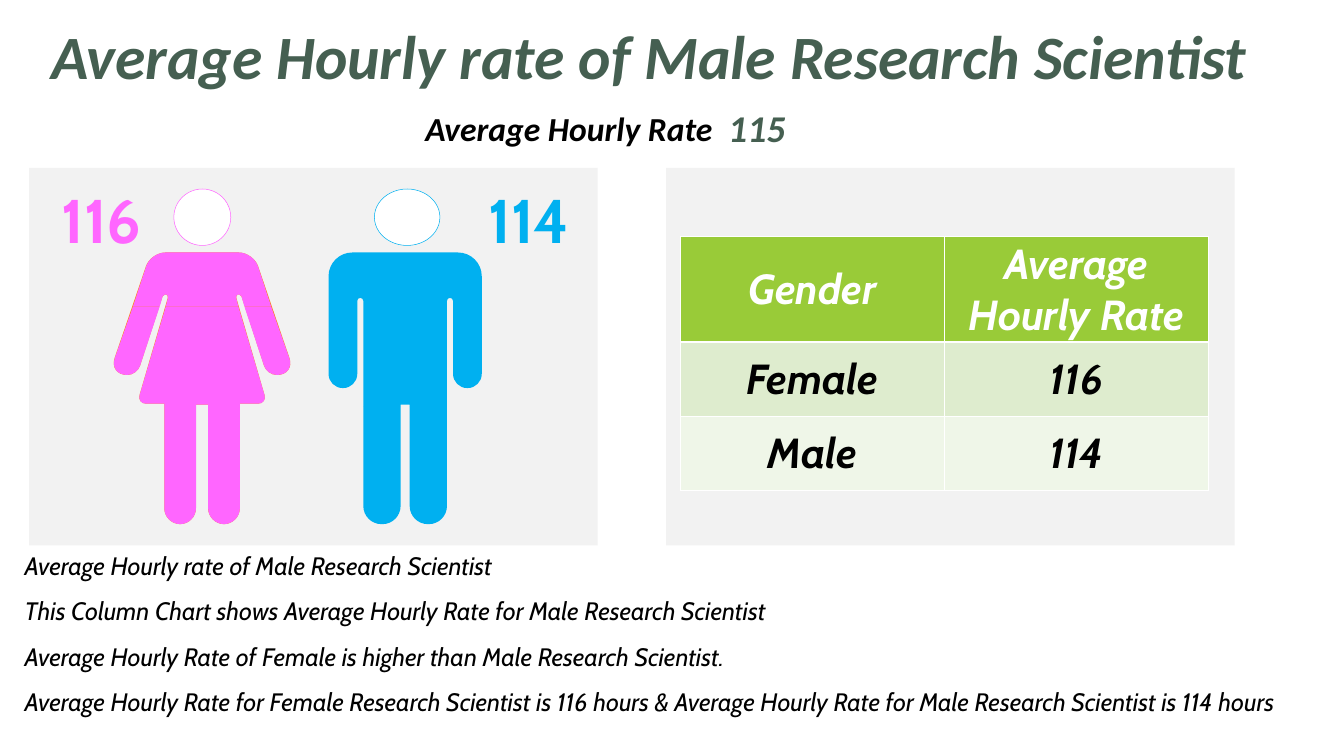
from dataclasses import dataclass

from lxml.etree import SubElement
from pptx import Presentation
from pptx.dml.color import RGBColor
from pptx.enum.shapes import MSO_SHAPE
from pptx.enum.text import MSO_ANCHOR, MSO_AUTO_SIZE, PP_ALIGN
from pptx.oxml.ns import qn
from pptx.util import Inches, Pt

# The grid has one column and one row to the inch.
COLUMNS, ROWS = 26.67, 15

WHITE = RGBColor(0xFF, 0xFF, 0xFF)
BLACK = RGBColor(0x00, 0x00, 0x00)
GREY = RGBColor(0x80, 0x80, 0x80)
DARK_GREEN = RGBColor(0x45, 0x5F, 0x51)
PINK = RGBColor(0xFF, 0x66, 0xFF)
BLUE = RGBColor(0x00, 0xB0, 0xF0)
ORANGE = RGBColor(0xFB, 0x83, 0x21)
ROW_FILLS = (RGBColor(0x99, 0xCB, 0x38), RGBColor(0xDE, 0xEC, 0xCE), RGBColor(0xEF, 0xF6, 0xE8))


@dataclass
class Box:
    column: float
    row: float
    width: float
    height: float

    def lengths(self) -> list:
        return [Inches(v) for v in (self.column, self.row, self.width, self.height)]


@dataclass
class Corner:
    """A vertex, x from the figure's axis; reach is where its rounding starts."""
    x: float
    y: float
    reach: float = 0


@dataclass
class Label:
    box: Box
    lines: list
    size: float
    color: RGBColor
    font: str = "Calibri"
    bold: bool = True
    italic: bool = True
    align: PP_ALIGN = PP_ALIGN.CENTER
    spacing: object = None
    wrap: bool = True


PANELS = [Box(column, 3.33, 11.28, 7.49) for column in (0.58, 13.22)]
TABLE_BOX = Box(13.5, 4.69, 10.48, 5.04)
TABLE_ROW_HEIGHTS = (2.1, 1.47, 1.47)
TABLE_ROWS = [("Gender", "Average Hourly Rate"), ("Female", "116"), ("Male", "114")]

# Left halves of the outlines, from the top of the axis to its bottom.
MALE_AXIS, FEMALE_AXIS, WAIST = 8.04, 4.01, 6.08
MALE_BODY = [Corner(-1.52, 5.01, 0.47), Corner(-1.52, 7.7, 0.28), Corner(-0.95, 7.7, 0.28),
             Corner(-0.95, 5.91, 0.06), Corner(-0.83, 5.91, 0.06), Corner(-0.83, 8.06),
             Corner(-0.09, 8.06), Corner(-0.09, 8.03)]
MALE_LEG = [Corner(-0.83, 8.06), Corner(-0.83, 10.4, 0.36), Corner(-0.09, 10.4, 0.36),
            Corner(-0.09, 8.06)]
SHOULDER = [Corner(-1.02, 5.01, 0.29)]
HAND = [Corner(-1.85, 7.44, 0.36), Corner(-1.29, 7.44, 0.19)]
ARMPIT = [Corner(-0.77, 5.84, 0.04), Corner(-0.66, 5.84, 0.07)]
SKIRT = [Corner(-1.29, 8.01, 0.18), Corner(-0.75, 8.01), Corner(-0.75, 10.4, 0.32),
         Corner(-0.12, 10.4, 0.32), Corner(-0.12, 8.03)]
SLEEVE_OUT, SLEEVE_IN, SIDE = (Corner(x, WAIST) for x in (-1.37, -0.84, -0.72))

LABELS = [
    Label(Box(0.79, 0.3, 24.18, 1.58), ["Average Hourly rate of Male Research Scientist"],
          88, DARK_GREEN, wrap=False),
    Label(Box(0.87, 3.56, 2.29, 1.58), ["116"], 88, PINK, "Cabin", italic=False),
    Label(Box(9.35, 3.56, 2.29, 1.58), ["114"], 88, BLUE, "Cabin", italic=False),
    Label(Box(13.95, 2.02, 2.14, 1.01), ["115"], 54, DARK_GREEN),
    Label(Box(8.34, 2.32, 6.49, 0.71), ["Average Hourly Rate"], 48, BLACK,
          align=PP_ALIGN.LEFT, spacing=Pt(40.8)),
    Label(Box(0.39, 10.57, 25.69, 3.64),
          ["Average Hourly rate of Male Research Scientist",
           "This Column Chart shows Average Hourly Rate for Male Research Scientist",
           "Average Hourly Rate of Female is higher than Male Research Scientist.",
           "Average Hourly Rate for Female Research Scientist is 116 hours & "
           "Average Hourly Rate for Male Research Scientist is 114 hours"],
          36, BLACK, "Cabin", bold=False, align=PP_ALIGN.LEFT, spacing=1.5),
]


def mirrored(corners: list) -> list:
    return [Corner(-c.x, c.y, c.reach) for c in reversed(corners)]


def outline_points(corners: list, axis: float) -> tuple:
    """Return the points, and the indices where a curve's three points begin."""
    points, curves = [], []
    for index, corner in enumerate(corners):
        vertex = complex(corner.x, corner.y)
        corner_points = [vertex]
        if corner.reach:
            ends = []
            for other in (corners[index - 1], corners[(index + 1) % len(corners)]):
                side = complex(other.x, other.y) - vertex
                ends.append(vertex + side / abs(side) * min(corner.reach, abs(side)))
            first, second = (end + 0.55 * (vertex - end) for end in ends)
            corner_points = [ends[0], first, second, ends[1]]
            curves.append(len(points) + 1)
        points += [(Inches(axis + p.real), Inches(p.imag)) for p in corner_points]
    return points, curves


def draw_outline(shapes, corners: list, axis: float, color: RGBColor) -> None:
    points, curves = outline_points(corners, axis)
    builder = shapes.build_freeform(*points[0], scale=1.0)
    builder.add_line_segments(points[1:], close=True)
    shape = builder.convert_to_shape()
    segments = list(next(shape._element.iter(qn("a:path"))))
    for start in curves:
        curve = segments[start].makeelement(qn("a:cubicBezTo"), {})
        segments[start].addprevious(curve)
        for segment in segments[start:start + 3]:
            curve.append(segment[0])
            segment.getparent().remove(segment)
    shape.shadow.inherit = False
    shape.fill.solid()
    shape.fill.fore_color.rgb = color
    shape.line.fill.background()


def draw_preset(shapes, kind: MSO_SHAPE, box: Box, fill: RGBColor, line: RGBColor = None):
    shape = shapes.add_shape(kind, *box.lengths())
    shape.shadow.inherit = False
    shape.fill.solid()
    shape.fill.fore_color.rgb = fill
    if line is None:
        shape.line.fill.background()
    else:
        shape.line.color.rgb = line
        shape.line.width = Pt(0.75)
    return shape


def draw_panel(shapes, box: Box) -> None:
    panel = draw_preset(shapes, MSO_SHAPE.RECTANGLE, box, GREY)
    color = panel._element.spPr.find(qn("a:solidFill"))[0]
    SubElement(color, qn("a:alpha"), val="10000")


def draw_male(shapes) -> None:
    draw_preset(shapes, MSO_SHAPE.OVAL, Box(7.43, 3.75, 1.3, 1.12), WHITE, BLUE)
    for part in (mirrored(MALE_LEG), MALE_LEG, MALE_BODY + mirrored(MALE_BODY)):
        draw_outline(shapes, part, MALE_AXIS, BLUE)


def draw_female(shapes) -> None:
    half = SHOULDER + HAND + ARMPIT + SKIRT
    draw_outline(shapes, half + mirrored(half), FEMALE_AXIS, ORANGE)
    arm = [SLEEVE_OUT, *HAND, SLEEVE_IN]
    skirt = [SIDE, *SKIRT]
    top = [*SHOULDER, SLEEVE_OUT, SLEEVE_IN, *ARMPIT, SIDE]
    for part in (arm, skirt + mirrored(skirt), mirrored(arm), top + mirrored(top)):
        draw_outline(shapes, part, FEMALE_AXIS, PINK)
    draw_preset(shapes, MSO_SHAPE.OVAL, Box(3.45, 3.75, 1.13, 1.12), WHITE, PINK)


def write(paragraph, text: str, label: Label) -> None:
    paragraph.alignment = label.align
    if label.spacing is not None:
        paragraph.line_spacing = label.spacing
    run = paragraph.add_run()
    run.text = text
    font = run.font
    font.name, font.size = label.font, Pt(label.size)
    font.bold, font.italic = label.bold, label.italic
    font.color.rgb = label.color


def draw_label(shapes, label: Label) -> None:
    frame = shapes.add_textbox(*label.box.lengths()).text_frame
    frame.word_wrap = label.wrap
    frame.auto_size = MSO_AUTO_SIZE.SHAPE_TO_FIT_TEXT
    for index, text in enumerate(label.lines):
        write(frame.add_paragraph() if index else frame.paragraphs[0], text, label)


def draw_borders(cell, bottom: float) -> None:
    properties = cell._tc.get_or_add_tcPr()
    for index, (side, width) in enumerate(zip("LRTB", (1, 1, 1, bottom))):
        line = properties.makeelement(qn(f"a:ln{side}"), {"w": str(Pt(width))})
        SubElement(SubElement(line, qn("a:solidFill")), qn("a:srgbClr"), val=str(WHITE))
        properties.insert(index, line)


def draw_table(shapes) -> None:
    table = shapes.add_table(len(TABLE_ROWS), 2, *TABLE_BOX.lengths()).table
    for r, texts in enumerate(TABLE_ROWS):
        table.rows[r].height = Inches(TABLE_ROW_HEIGHTS[r])
        style = Label(TABLE_BOX, [], 60, BLACK if r else WHITE, "Cabin")
        for c, text in enumerate(texts):
            cell = table.cell(r, c)
            cell.vertical_anchor = MSO_ANCHOR.MIDDLE
            cell.fill.solid()
            cell.fill.fore_color.rgb = ROW_FILLS[r]
            draw_borders(cell, 1 if r else 3)
            write(cell.text_frame.paragraphs[0], text, style)


def main() -> None:
    presentation = Presentation()
    presentation.slide_width, presentation.slide_height = Inches(COLUMNS), Inches(ROWS)
    shapes = presentation.slides.add_slide(presentation.slide_layouts[6]).shapes
    for panel in PANELS:
        draw_panel(shapes, panel)
    for draw_figure in (draw_male, draw_female):
        draw_figure(shapes.add_group_shape().shapes)
    for label in LABELS:
        draw_label(shapes, label)
    draw_table(shapes)
    presentation.save("out.pptx")


if __name__ == "__main__":
    main()
